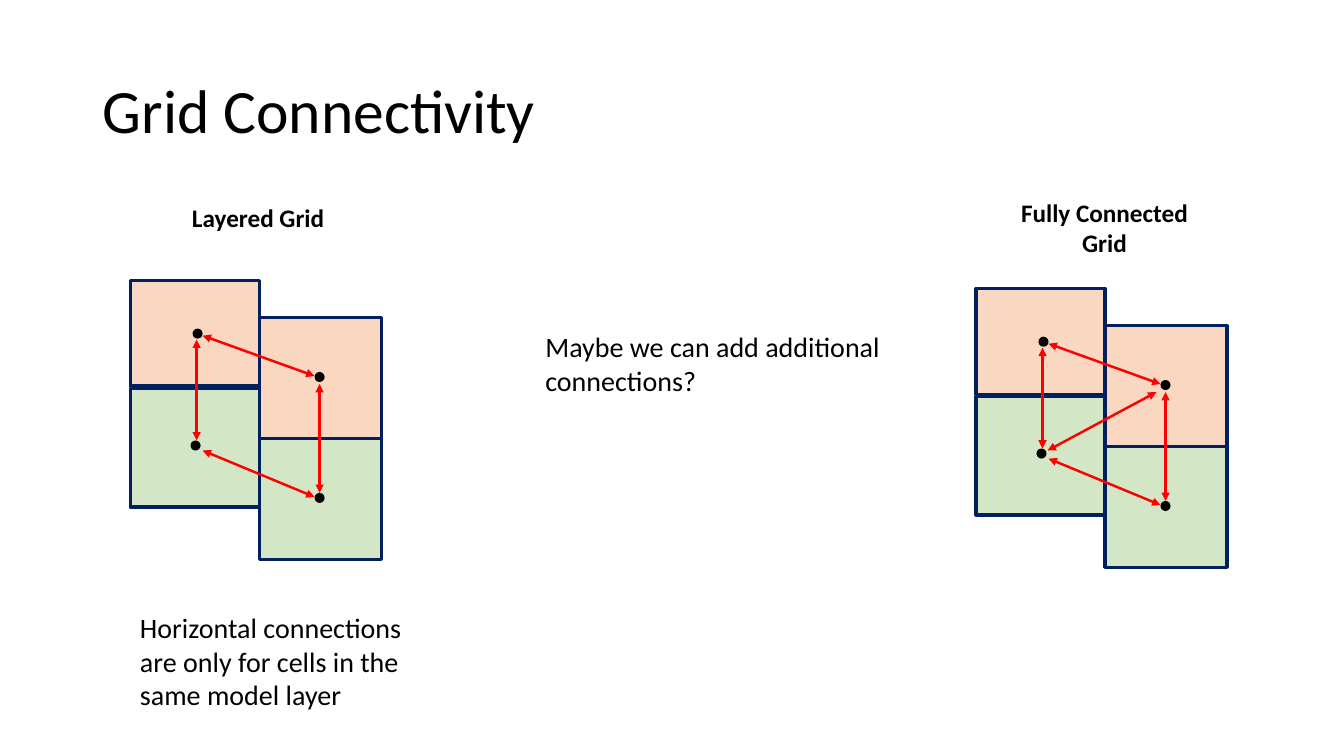
from lxml import etree
from pptx import Presentation
from pptx import util as u
from pptx.dml.color import RGBColor
from pptx.enum import shapes, text
from pptx.oxml import ns

PX = 9144  # EMU per px, 100 px to the inch
FONT = "Calibri"
BLACK = RGBColor(0x00, 0x00, 0x00)
NAVY = RGBColor(0x00, 0x20, 0x60)
RED = RGBColor(0xFF, 0x00, 0x00)
ORANGE = RGBColor(0xF4, 0xB1, 0x83)
GREEN = RGBColor(0xA9, 0xD1, 0x8E)

# Grid parts, in px from the grid's top left corner
CELLS = [
    (0, 0, 128, 105, ORANGE),
    (128, 37, 121, 120, ORANGE),
    (0, 107, 128, 118, GREEN),
    (128, 157, 121, 120, GREEN),
]
DOT = 10
NODES = [(62, 48), (183, 91), (60, 159), (183, 211)]
LAYER_LINKS = [
    (72, 55, 183, 95),
    (72, 169, 183, 215),
    (66, 59, 66, 159),
    (188, 103, 188, 211),
]
CROSS_LINK = (71, 161, 179, 103)


def px(*lengths):
    return [u.Emu(length * PX) for length in lengths]


def style_text(paragraph, size, bold=False, align=text.PP_ALIGN.LEFT):
    paragraph.alignment = align
    font = paragraph.font
    font.name, font.size, font.bold = FONT, u.Pt(size), bold
    font.color.rgb = BLACK


def add_title(slide, wording):
    title = slide.shapes.title
    title.left, title.top, title.width, title.height = px(92, 40, 1150, 145)
    frame = title.text_frame
    frame.text = wording
    frame.auto_size = text.MSO_AUTO_SIZE.NONE
    frame.vertical_anchor = text.MSO_ANCHOR.MIDDLE
    frame.paragraphs[0].line_spacing = 0.9
    style_text(frame.paragraphs[0], 44)


def add_text(slide, wording, box, wrap=True, **style):
    frame = slide.shapes.add_textbox(*px(*box)).text_frame
    frame.word_wrap = wrap
    frame.auto_size = text.MSO_AUTO_SIZE.SHAPE_TO_FIT_TEXT
    frame.text = wording
    style_text(frame.paragraphs[0], **style)


def add_heading(slide, wording, box, wrap=True):
    add_text(slide, wording, box, wrap, size=18, bold=True,
             align=text.PP_ALIGN.CENTER)


def add_filled(slide, kind, box, color):
    shape = slide.shapes.add_shape(kind, *px(*box))
    shape.shadow.inherit = False
    shape.fill.solid()
    shape.fill.fore_color.rgb = color
    return shape


def add_cell(slide, box, color):
    cell = add_filled(slide, shapes.MSO_SHAPE.RECTANGLE, box, color)
    cell.line.color.rgb = NAVY
    cell.line.width = u.Pt(2.25)
    # Half-transparent fill
    fill_color = cell.fill._xPr.find(ns.qn("a:solidFill"))[0]
    etree.SubElement(fill_color, ns.qn("a:alpha"), val="50000")


def add_node(slide, x, y):
    node = add_filled(slide, shapes.MSO_SHAPE.OVAL, (x, y, DOT, DOT), BLACK)
    node.line.fill.background()


def add_link(slide, ends):
    link = slide.shapes.add_connector(shapes.MSO_CONNECTOR.STRAIGHT, *px(*ends))
    link.line.color.rgb = RED
    link.line.width = u.Pt(1.75)
    # Arrowheads at both ends, no shadow
    outline = link.line._get_or_add_ln()
    for end in ("a:headEnd", "a:tailEnd"):
        etree.SubElement(outline, ns.qn(end), type="triangle")
    etree.SubElement(link._element.spPr, ns.qn("a:effectLst"))


def add_grid(slide, left, top, links):
    for x, y, width, height, color in CELLS:
        add_cell(slide, (left + x, top + y, width, height), color)
    for x, y in NODES:
        add_node(slide, left + x, top + y)
    for x1, y1, x2, y2 in links:
        add_link(slide, (left + x1, top + y1, left + x2, top + y2))


def main():
    deck = Presentation()
    deck.slide_width, deck.slide_height = u.Inches(13.33), u.Inches(7.5)
    slide = deck.slides.add_slide(deck.slide_layouts[5])
    add_title(slide, "Grid Connectivity")

    # Layered grid on the left
    add_heading(slide, "Layered Grid", (180, 196, 152, 40), wrap=False)
    add_grid(slide, 129, 278, LAYER_LINKS)

    # Remarks
    add_text(slide, "Maybe we can add additional connections?",
             (531, 322, 378, 77), size=20)
    add_text(slide, "Horizontal connections are only for cells in the same model layer",
             (129, 601, 313, 111), size=20)

    # Fully connected grid on the right
    add_heading(slide, "Fully Connected Grid", (995, 191, 201, 71))
    add_grid(slide, 968, 286, LAYER_LINKS + [CROSS_LINK])

    deck.save("out.pptx")


if __name__ == "__main__":
    main()
